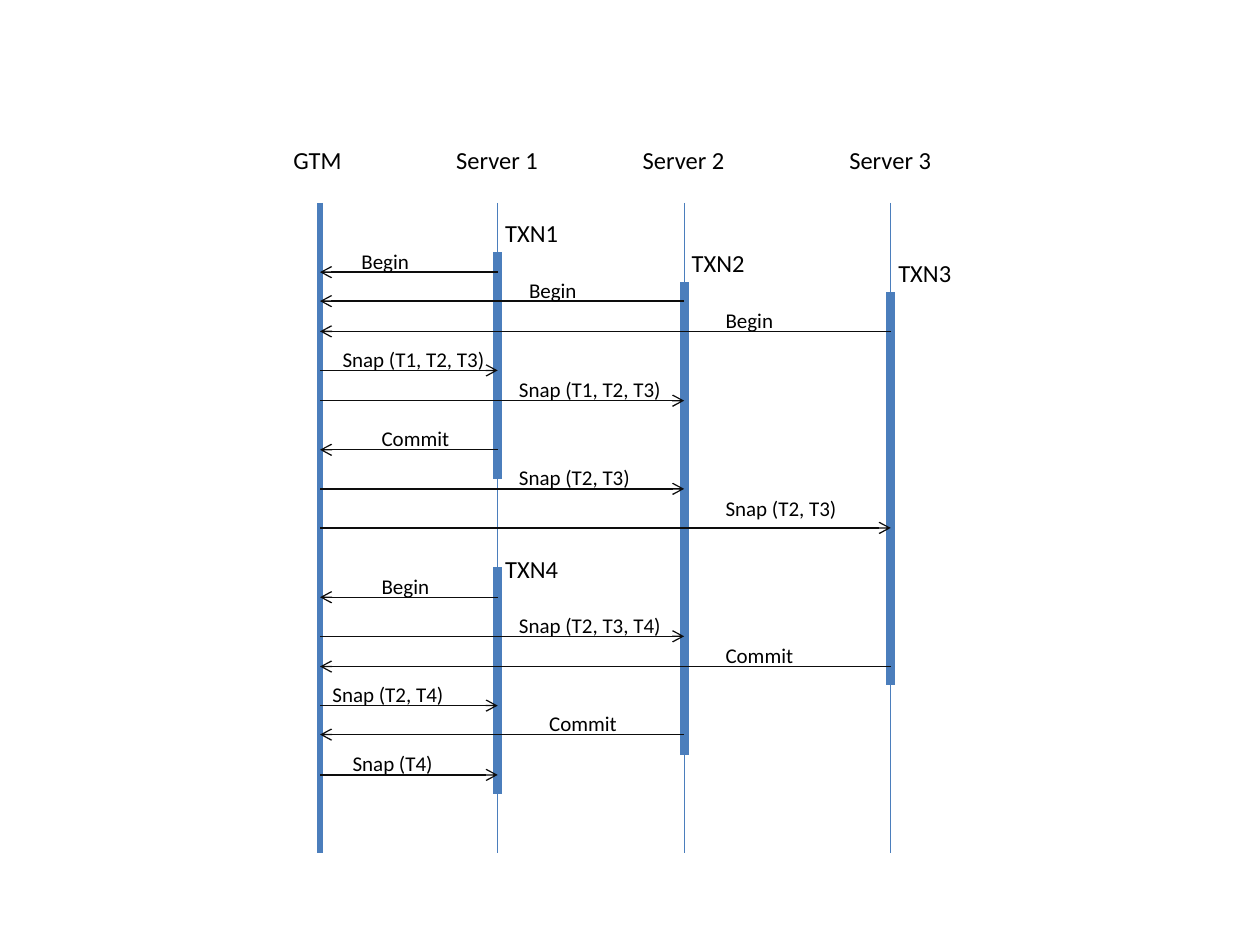
from dataclasses import dataclass

from lxml.etree import SubElement
from pptx import Presentation
from pptx.dml.color import RGBColor
from pptx.enum.shapes import MSO_CONNECTOR
from pptx.enum.text import MSO_AUTO_SIZE, PP_ALIGN
from pptx.oxml.ns import qn
from pptx.util import Inches, Pt

BLUE, INK, BLACK = "4B7EBC", "0D0D0D", "000000"
LIFELINE_TOP, LIFELINE_BOTTOM = 1.61, 6.77
GTM, SERVER_1, SERVER_2, SERVER_3 = 2.54, 3.95, 5.43, 7.07


@dataclass(frozen=True)
class Participant:
    """A lifeline and its heading."""
    name: str
    x: float
    heading_left: float
    heading_width: float = 1.09
    align: PP_ALIGN = PP_ALIGN.CENTER
    weight: float = 0.75


@dataclass(frozen=True)
class Transaction:
    """An active period on a server's lifeline."""
    name: str
    x: float
    start: float
    end: float
    name_rise: float = 0.32


@dataclass(frozen=True)
class Message:
    """A labelled arrow between two lifelines."""
    text: str
    source: float
    target: float
    y: float
    text_left: float
    text_rise: float = 0.24


PARTICIPANTS = [
    Participant("GTM", GTM, 2.23, 0.7, PP_ALIGN.LEFT, 3),
    Participant("Server 1", SERVER_1, 3.4),
    Participant("Server 2", SERVER_2, 4.88),
    Participant("Server 3", SERVER_3, 6.52),
]

TRANSACTIONS = [
    Transaction("TXN1", SERVER_1, 2.0, 3.8),
    Transaction("TXN2", SERVER_2, 2.24, 5.99),
    Transaction("TXN3", SERVER_3, 2.32, 5.44),
    Transaction("TXN4", SERVER_1, 4.5, 6.3, 0.15),
]

MESSAGES = [
    Message("Begin", SERVER_1, GTM, 2.16, 2.77),
    Message("Begin", SERVER_2, GTM, 2.39, 4.1),
    Message("Begin", SERVER_3, GTM, 2.63, 5.66),
    Message("Snap (T1, T2, T3)", GTM, SERVER_1, 2.94, 2.62),
    Message("Snap (T1, T2, T3)", GTM, SERVER_2, 3.18, 4.02),
    Message("Commit", SERVER_1, GTM, 3.57, 2.93),
    Message("Snap (T2, T3)", GTM, SERVER_2, 3.88, 4.02),
    Message("Snap (T2, T3)", GTM, SERVER_3, 4.19, 5.66, 0.31),
    Message("Begin", SERVER_1, GTM, 4.74, 2.93),
    Message("Snap (T2, T3, T4)", GTM, SERVER_2, 5.05, 4.02),
    Message("Commit", SERVER_3, GTM, 5.29, 5.66),
    Message("Snap (T2, T4)", GTM, SERVER_1, 5.6, 2.54),
    Message("Commit", SERVER_2, GTM, 5.83, 4.26),
    Message("Snap (T4)", GTM, SERVER_1, 6.15, 2.7),
]


def rgb(colour: str) -> RGBColor:
    """Turn a hex string into a colour."""
    return RGBColor.from_string(colour)


def draw_line(shapes, x1: float, y1: float, x2: float, y2: float,
              colour: str, weight: float, arrow: bool = False) -> None:
    """Draw a straight line, with an open arrowhead at its end if asked."""
    line = shapes.add_connector(MSO_CONNECTOR.STRAIGHT, Inches(x1), Inches(y1),
                                Inches(x2), Inches(y2))
    line.line.color.rgb = rgb(colour)
    line.line.width = Pt(weight)
    properties = line._element.spPr
    if arrow:
        SubElement(properties.find(qn("a:ln")), qn("a:tailEnd"), type="arrow")
    SubElement(properties, qn("a:effectLst"))


def draw_text(shapes, text: str, left: float, top: float, width: float,
              height: float, size: float, align: PP_ALIGN) -> None:
    """Place one line of text."""
    frame = shapes.add_textbox(Inches(left), Inches(top), Inches(width),
                               Inches(height)).text_frame
    frame.word_wrap = True
    frame.auto_size = MSO_AUTO_SIZE.SHAPE_TO_FIT_TEXT
    frame.text = text
    paragraph = frame.paragraphs[0]
    paragraph.alignment = align
    font = paragraph.runs[0].font
    font.name, font.size = "Calibri", Pt(size)
    font.color.rgb = rgb(BLACK)


def draw_participant(shapes, who: Participant) -> None:
    """Draw a lifeline under its heading."""
    draw_line(shapes, who.x, LIFELINE_TOP, who.x, LIFELINE_BOTTOM, BLUE, who.weight)
    draw_text(shapes, who.name, who.heading_left, 1.1, who.heading_width, 0.34,
              14, who.align)


def draw_transaction(shapes, txn: Transaction) -> None:
    """Draw an activity bar with its name at the upper right."""
    draw_line(shapes, txn.x, txn.start, txn.x, txn.end, BLUE, 5)
    draw_text(shapes, txn.name, txn.x - 0.16, txn.start - txn.name_rise,
              0.86, 0.34, 14, PP_ALIGN.CENTER)


def draw_message(shapes, message: Message) -> None:
    """Draw an arrow with its label above."""
    draw_line(shapes, message.source, message.y, message.target, message.y,
              INK, 0.75, arrow=True)
    width = 1.41 if message.text.startswith("Snap") else 0.78
    draw_text(shapes, message.text, message.text_left,
              message.y - message.text_rise, width, 0.3, 12, PP_ALIGN.LEFT)


def main() -> None:
    """Build the sequence diagram."""
    deck = Presentation()
    deck.slide_width, deck.slide_height = Inches(10), Inches(7.5)
    shapes = deck.slides.add_slide(deck.slide_layouts[6]).shapes
    for who in PARTICIPANTS:
        draw_participant(shapes, who)
    for txn in TRANSACTIONS:
        draw_transaction(shapes, txn)
    for message in MESSAGES:
        draw_message(shapes, message)
    deck.save("out.pptx")


main()
